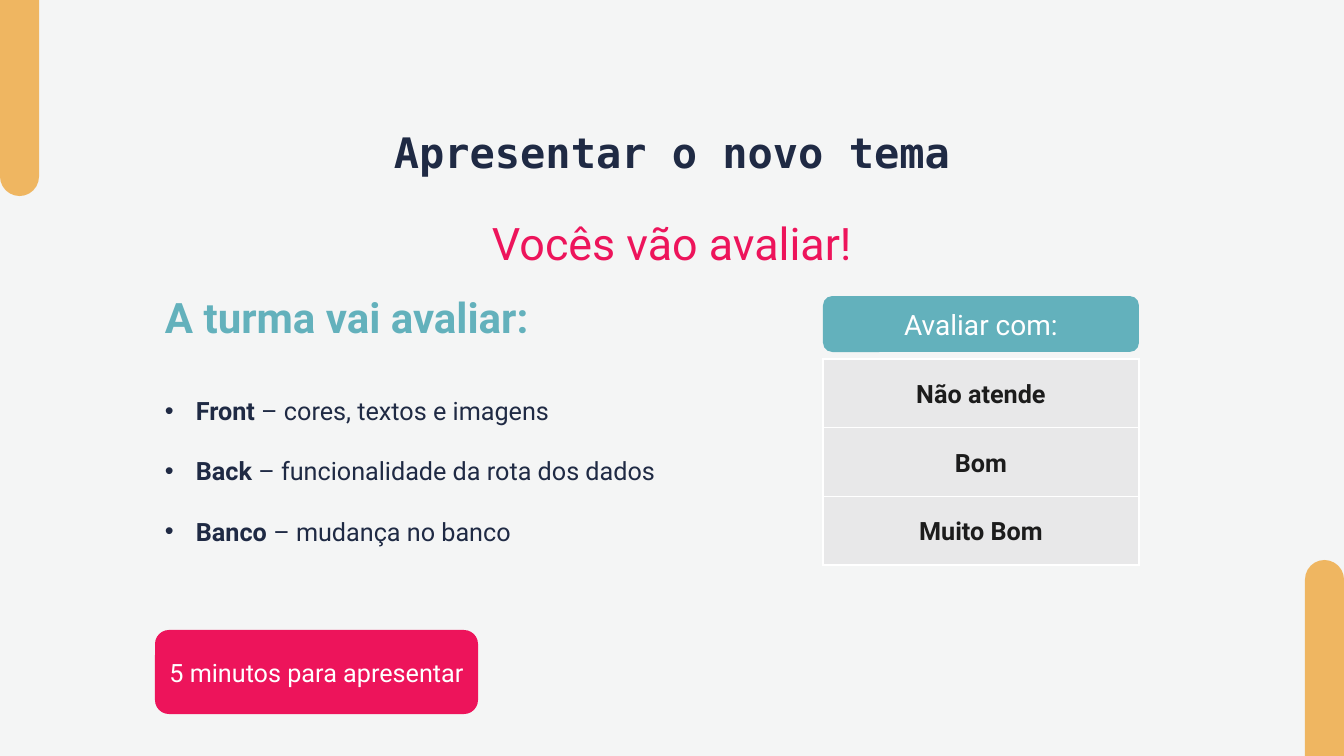
from lxml import etree
from pptx import Presentation
from pptx.dml.color import RGBColor
from pptx.enum.shapes import MSO_SHAPE
from pptx.enum.text import MSO_ANCHOR, MSO_AUTO_SIZE, PP_ALIGN
from pptx.oxml.ns import qn
from pptx.util import Pt

ROUND = MSO_SHAPE.ROUNDED_RECTANGLE
CAPPED = MSO_SHAPE.ROUND_2_SAME_RECTANGLE
TOP, MIDDLE = MSO_ANCHOR.TOP, MSO_ANCHOR.MIDDLE
LEFT, CENTER = PP_ALIGN.LEFT, PP_ALIGN.CENTER
NO_FIT = MSO_AUTO_SIZE.NONE

PAPER = RGBColor(0xF4, 0xF5, 0xF5)
GOLD = RGBColor(0xEF, 0xB6, 0x61)
NAVY = RGBColor(0x1F, 0x2A, 0x44)
PINK = RGBColor(0xED, 0x14, 0x5B)
TEAL = RGBColor(0x63, 0xB1, 0xBC)
GRAY = RGBColor(0xE8, 0xE8, 0xE9)
INK = RGBColor(0x1C, 0x1C, 0x1C)
WHITE = RGBColor(0xFF, 0xFF, 0xFF)

SANS, MONO = "Roboto", "DejaVu Sans Mono"
WIDE, HIGH = 1344, 756
SCALE = 12192000 / WIDE

TOPICS = [
    ("Front", " – cores, textos e imagens"),
    ("Back", " – funcionalidade da rota dos dados"),
    ("Banco ", "– mudança no banco"),
]
GRADES = ["Não atende", "Bom", "Muito Bom"]


def px(size):
    """Turn pixels into EMU."""
    return round(size * SCALE)


def place(box):
    """Turn a pixel box into EMU lengths."""
    return [px(size) for size in box]


def add_run(para, text, size, color, bold=False, face=SANS):
    """Add one formatted run to a paragraph."""
    run = para.add_run()
    run.text = text
    font = run.font
    font.name, font.size, font.bold = face, Pt(size), bold
    font.color.rgb = color


def add_box(slide, box):
    """Add an empty wrapping text box and return its frame."""
    frame = slide.shapes.add_textbox(*place(box)).text_frame
    frame.word_wrap = True
    return frame


def add_line(slide, box, text, size, color, bold=False, align=LEFT):
    """Add a text box with one line."""
    para = add_box(slide, box).paragraphs[0]
    para.alignment = align
    add_run(para, text, size, color, bold)


def add_form(slide, kind, box, fill):
    """Add a plain filled shape."""
    form = slide.shapes.add_shape(kind, *place(box))
    form.shadow.inherit = False
    form.fill.solid()
    form.fill.fore_color.rgb = fill
    form.line.fill.background()
    return form


def add_badge(slide, box, text, size, fill):
    """Add a rounded box with centred white text."""
    frame = add_form(slide, ROUND, box, fill).text_frame
    frame.word_wrap = True
    frame.vertical_anchor = MIDDLE
    para = frame.paragraphs[0]
    para.alignment = CENTER
    add_run(para, text, size, WHITE)


def add_bars(slide, wide, high):
    """Add the gold bars in two opposite corners."""
    corners = [(0, 0, 180), (WIDE - wide, HIGH - high, 0)]
    for left, top, turn in corners:
        bar = add_form(slide, CAPPED, (left, top, wide, high), GOLD)
        bar.adjustments[0] = 0.5
        bar.rotation = turn


def set_title(slide, box, text):
    """Place and format the title."""
    title = slide.shapes.title
    title.left, title.top, title.width, title.height = place(box)
    frame = title.text_frame
    frame.auto_size = NO_FIT
    frame.vertical_anchor = TOP
    para = frame.paragraphs[0]
    para.alignment = CENTER
    para.line_spacing = Pt(45)
    add_run(para, text, 30, NAVY, True, MONO)


def add_list(slide, box, topics):
    """Add the bulleted topics with bold names."""
    frame = add_box(slide, box)
    for spot, (name, note) in enumerate(topics):
        para = frame.add_paragraph() if spot else frame.paragraphs[0]
        para.line_spacing = 2.0
        props = para._p.get_or_add_pPr()
        props.set("marL", str(px(31)))
        props.set("indent", str(-px(31)))
        etree.SubElement(props, qn("a:buFont"), typeface="Arial")
        etree.SubElement(props, qn("a:buChar"), char="•")
        add_run(para, name, 18, NAVY, True)
        add_run(para, note, 18, NAVY)


def add_edges(cell):
    """Draw thin white borders around a cell."""
    props = cell._tc.get_or_add_tcPr()
    for spot, side in enumerate(("lnL", "lnR", "lnT", "lnB")):
        edge = etree.Element(qn(f"a:{side}"), w=str(Pt(1)))
        fill = etree.SubElement(edge, qn("a:solidFill"))
        etree.SubElement(fill, qn("a:srgbClr"), val=str(WHITE))
        props.insert(spot, edge)


def add_grades(slide, box, grades):
    """Add the one-column table of grades."""
    table = slide.shapes.add_table(len(grades), 1, *place(box)).table
    table.first_row = table.horz_banding = False
    for row, grade in enumerate(grades):
        cell = table.cell(row, 0)
        cell.fill.solid()
        cell.fill.fore_color.rgb = GRAY
        cell.vertical_anchor = MIDDLE
        cell.margin_left = cell.margin_right = cell.margin_top = px(3)
        cell.margin_bottom = 0
        add_edges(cell)
        para = cell.text_frame.paragraphs[0]
        para.alignment = CENTER
        add_run(para, grade, 18, INK, True)


def add_topics(slide, left, top, wide):
    """Add the left column: heading, topics and time limit."""
    add_line(slide, (left, top, wide, 61), "A turma vai avaliar:", 30, TEAL, True)
    add_list(slide, (left, top + 73, wide, 183), TOPICS)
    add_badge(slide, (left, top + 343, 323, 84), "5 minutos para apresentar", 18, PINK)


def add_scale(slide, left, top, wide):
    """Add the right column: header and grades."""
    add_grades(slide, (left, top + 63, wide, 206), GRADES)
    add_badge(slide, (left, top, wide, 56), "Avaliar com:", 20, TEAL)


def main():
    """Build and save the slide."""
    deck = Presentation()
    deck.slide_width, deck.slide_height = px(WIDE), px(HIGH)
    slide = deck.slides.add_slide(deck.slide_layouts[5])
    back = slide.background.fill
    back.solid()
    back.fore_color.rgb = PAPER
    add_bars(slide, 39, 196)
    set_title(slide, (205, 109, 934, 81), "Apresentar o novo tema")
    add_line(slide, (399, 211, 546, 65), "Vocês vão avaliar!", 32, PINK, align=CENTER)
    add_topics(slide, 155, 287, 546)
    add_scale(slide, 823, 296, 316)
    deck.save("out.pptx")


if __name__ == "__main__":
    main()
